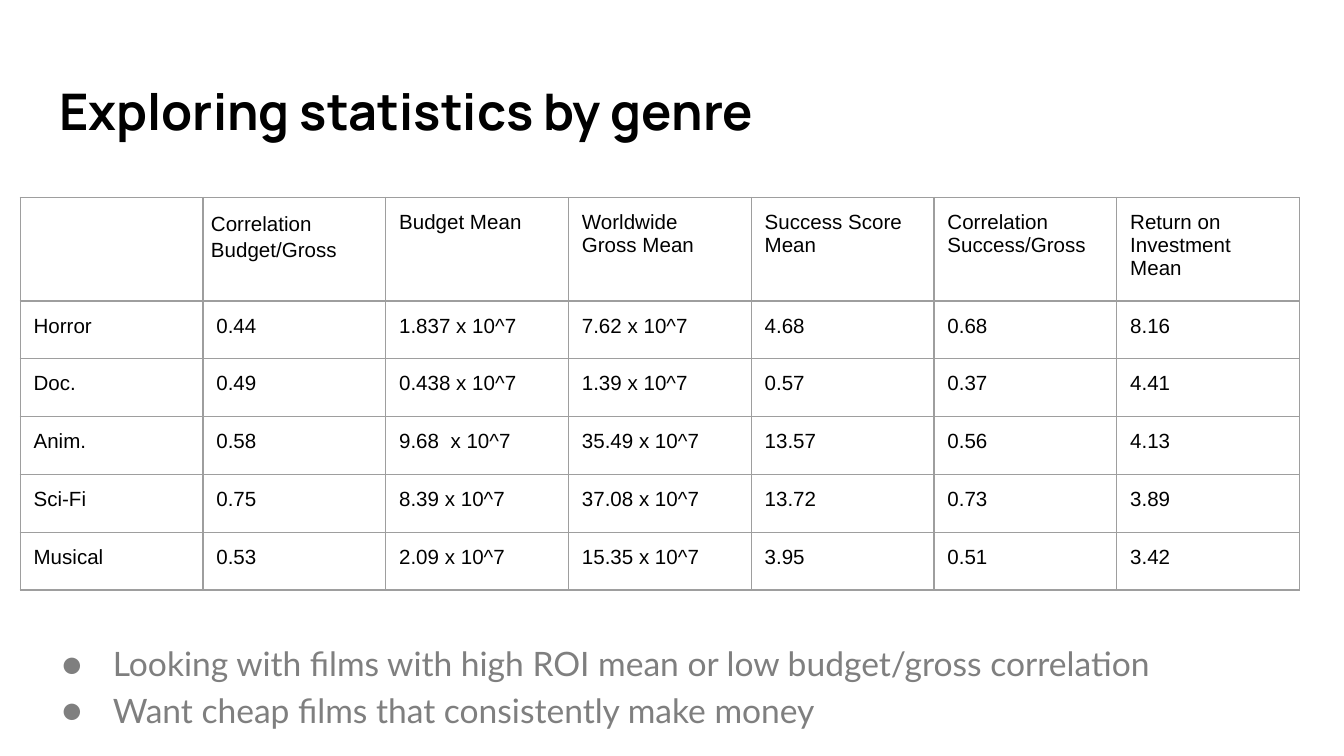
from dataclasses import dataclass

from lxml import etree
from pptx import Presentation
from pptx.dml.color import RGBColor
from pptx.enum import text
from pptx.oxml import ns
from pptx.util import Inches, Pt

COLORS = {"ink": "000000", "muted": "7F7F7F", "border": "9E9E9E"}
SLIDE_W = 10
COL_W, HEADER_H, ROW_H = 1.36, 0.77, 0.43


@dataclass
class Genre:
    name: str
    budget_corr: str
    budget: str
    gross: str
    score: str
    score_corr: str
    roi: str

    def values(self) -> list[str]:
        return [self.name, self.budget_corr, self.budget, self.gross,
                self.score, self.score_corr, self.roi]


HEADERS = ["", "Correlation\nBudget/Gross", "Budget Mean", "Worldwide Gross Mean",
           "Success Score Mean", "Correlation\nSuccess/Gross",
           "Return on Investment Mean"]
GENRES = [
    Genre("Horror", "0.44", "1.837 x 10^7", "7.62 x 10^7", "4.68", "0.68", "8.16"),
    Genre("Doc.", "0.49", "0.438 x 10^7", "1.39 x 10^7", "0.57", "0.37", "4.41"),
    Genre("Anim.", "0.58", "9.68  x 10^7", "35.49 x 10^7", "13.57", "0.56", "4.13"),
    Genre("Sci-Fi", "0.75", "8.39 x 10^7", "37.08 x 10^7", "13.72", "0.73", "3.89"),
    Genre("Musical", "0.53", "2.09 x 10^7", "15.35 x 10^7", "3.95", "0.51", "3.42"),
]
TAKEAWAYS = [
    "Looking with films with high ROI mean or low budget/gross correlation",
    "Want cheap films that consistently make money",
]


def sub(parent, tag: str, **attrs: str):
    return etree.SubElement(parent, ns.qn(tag), attrs)


def write(tf, content: str, *, size: float, font: str, color: str,
          bold: bool = False, spacing: float = 1.0) -> None:
    """Fill a text frame, one paragraph per line of content."""
    tf.text = content
    for p in tf.paragraphs:
        p.alignment = text.PP_ALIGN.LEFT
        p.line_spacing = spacing
        p.space_before = p.space_after = Pt(0)
        for r in p.runs:
            r.font.size, r.font.name, r.font.bold = Pt(size), font, bold
            r.font.color.rgb = RGBColor.from_string(COLORS[color])


def place(sp, left: float, top: float, width: float, height: float, anchor):
    """Move a placeholder and return its prepared text frame."""
    sp.left, sp.top = Inches(left), Inches(top)
    sp.width, sp.height = Inches(width), Inches(height)
    tf = sp.text_frame
    tf.word_wrap, tf.auto_size = True, text.MSO_AUTO_SIZE.NONE
    tf.vertical_anchor = anchor
    tf.margin_left = tf.margin_right = tf.margin_top = tf.margin_bottom = Inches(0.1)
    return tf


def add_bullet(p, color: str) -> None:
    pPr = p._p.get_or_add_pPr()
    pPr.set("marL", str(Inches(0.5)))
    pPr.set("indent", str(Inches(-0.38)))
    sub(sub(pPr, "a:buClr"), "a:srgbClr", val=COLORS[color])
    sub(pPr, "a:buFont", typeface="Lato")
    sub(pPr, "a:buChar", char="●")


def format_cell(cell, margin: float, bottom: float) -> None:
    cell.margin_left = cell.margin_right = cell.margin_top = Inches(margin)
    cell.margin_bottom = Inches(bottom)
    tcPr = cell._tc.get_or_add_tcPr()
    for side in ("a:lnL", "a:lnR", "a:lnT", "a:lnB"):
        ln = sub(tcPr, side, w=str(Pt(0.75)))
        sub(sub(ln, "a:solidFill"), "a:srgbClr", val=COLORS["border"])
    cell.fill.background()


def add_genre_table(slide) -> None:
    rows = [HEADERS] + [g.values() for g in GENRES]
    table = slide.shapes.add_table(
        len(rows), len(HEADERS), Inches(0.15), Inches(1.47),
        Inches(COL_W * len(HEADERS)), Inches(HEADER_H + ROW_H * len(GENRES))).table
    table.first_row = table.horz_banding = False
    for col in table.columns:
        col.width = Inches(COL_W)
    for i, values in enumerate(rows):
        table.rows[i].height = Inches(ROW_H if i else HEADER_H)
        for j, value in enumerate(values):
            cell = table.cell(i, j)
            # The first correlation heading has looser lines, set above the middle
            loose = (i, j) == (0, 1)
            format_cell(cell, *((0.06, 0.26) if loose else (0.1, 0.1)))
            cell.vertical_anchor = (text.MSO_ANCHOR.MIDDLE if loose
                                    else text.MSO_ANCHOR.TOP)
            write(cell.text_frame, value, size=11, font="Arial", color="ink",
                  spacing=1.15 if loose else 1.0)


def main() -> None:
    prs = Presentation()
    prs.slide_width, prs.slide_height = Inches(SLIDE_W), Inches(SLIDE_W * 9 / 16)
    slide = prs.slides.add_slide(prs.slide_layouts[1])

    # Title
    tf = place(slide.shapes.title, 0.34, 0.48, 9.32, 0.68, text.MSO_ANCHOR.MIDDLE)
    write(tf, "Exploring statistics by genre", size=27, font="Manrope",
          color="ink", bold=True)

    # Takeaways
    tf = place(slide.placeholders[1], 0.24, 4.64, 9.32, 3.65, text.MSO_ANCHOR.TOP)
    write(tf, "\n".join(TAKEAWAYS), size=18, font="Lato", color="muted", spacing=1.15)
    for p in tf.paragraphs:
        add_bullet(p, "muted")

    # Statistics table
    add_genre_table(slide)
    prs.save("out.pptx")


if __name__ == "__main__":
    main()
